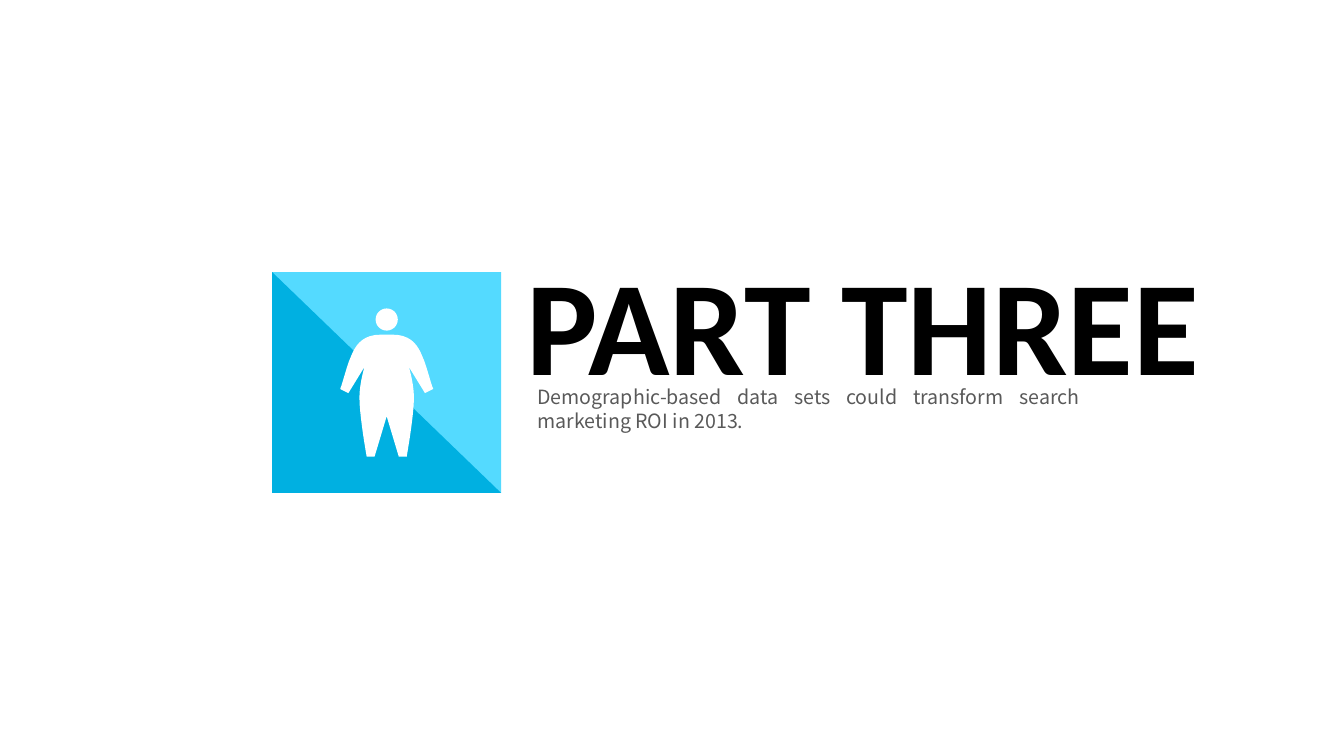
from pptx import Presentation
from pptx.dml.color import RGBColor
from pptx.enum.shapes import MSO_SHAPE as Shape
from pptx.enum.text import MSO_AUTO_SIZE as AutoSize, PP_ALIGN as Align
from pptx.util import Inches, Pt

WHITE = RGBColor(0xFF, 0xFF, 0xFF)
BLACK = RGBColor(0x00, 0x00, 0x00)
GREY = RGBColor(0x59, 0x59, 0x59)
LIGHT_BLUE = RGBColor(0x54, 0xDA, 0xFF)
DEEP_BLUE = RGBColor(0x00, 0xB0, 0xE1)

CURVE_STEPS = 10
HALF_BODY = [
    [(0.06, 0), (0.26, 0), (0.32, 0.13), (0.36, 0.23)],
    [(0.36, 0.23), (0.4, 0.32), (0.45, 0.53), (0.46, 0.53)],
    [(0.46, 0.54)],
    [(0.38, 0.58)],
    [(0.22, 0.32), (0.24, 0.39), (0.27, 0.51), (0.27, 0.63)],
    [(0.27, 0.63), (0.27, 0.81), (0.2, 1.2), (0.2, 1.2)],
    [(0.2, 1.21)],
    [(0.12, 1.21)],
    [(0, 0.81)],
]


def paint(shape, color):
    """Give a shape a flat fill with no line or shadow."""
    shape.fill.solid()
    shape.fill.fore_color.rgb = color
    shape.line.fill.background()
    shape.shadow.inherit = False


def add_block(slide, kind, box, color):
    """Add a flat preset shape in the given box."""
    shape = slide.shapes.add_shape(kind, *map(Inches, box))
    paint(shape, color)


def curve_points(controls):
    """Return points along a cubic curve, or a lone point unchanged."""
    if len(controls) == 1:
        return controls
    points = []
    for step in range(CURVE_STEPS + 1):
        t = step / CURVE_STEPS
        weights = ((1 - t) ** 3, 3 * t * (1 - t) ** 2, 3 * t * t * (1 - t), t ** 3)
        points.append(tuple(sum(weight * control[axis] for weight, control in zip(weights, controls))
                            for axis in (0, 1)))
    return points


def add_body(slide, center, top):
    """Draw the symmetric body from its half outline."""
    right = [point for controls in HALF_BODY for point in curve_points(controls)]
    left = [(-x, y) for x, y in reversed(right[:-1])]
    outline = [(Inches(center + x), Inches(top + y)) for x, y in right + left]
    builder = slide.shapes.build_freeform(*outline[0], scale=1.0)
    builder.add_line_segments(outline[1:], close=True)
    paint(builder.convert_to_shape(), WHITE)


def add_emblem(slide, left, top, width, height):
    """Draw the two-tone tile with the person in its middle."""
    tile = (left, top, width, height)
    add_block(slide, Shape.RECTANGLE, tile, LIGHT_BLUE)
    add_block(slide, Shape.RIGHT_TRIANGLE, tile, DEEP_BLUE)
    center, head = left + width / 2, 0.22
    add_block(slide, Shape.OVAL, (center - head / 2, top + 0.36, head, head), WHITE)
    add_body(slide, center, top + 0.62)


def add_text(slide, box, text, font_name, size, color, bold=False, align=Align.LEFT, wrap=True):
    """Add a text box holding one run."""
    text_box = slide.shapes.add_textbox(*map(Inches, box))
    frame = text_box.text_frame
    frame.word_wrap = wrap
    frame.auto_size = AutoSize.SHAPE_TO_FIT_TEXT
    paragraph = frame.paragraphs[0]
    paragraph.alignment = align
    run = paragraph.add_run()
    run.text = text
    run.font.name = font_name
    run.font.size = Pt(size)
    run.font.bold = bold
    run.font.color.rgb = color


def add_heading(slide, left, top):
    """Place the section title above its description."""
    add_text(slide, (left + 0.11, top + 1.43, 5.58, 0.57),
             "Demographic-based data sets could transform search marketing ROI in 2013.",
             "Noto Sans CJK SC", 14, GREY, align=Align.JUSTIFY)
    add_text(slide, (left, top, 6.95, 1.72), "PART THREE", "Calibri", 96, BLACK,
             bold=True, wrap=False)


def main():
    """Build the section slide and save it."""
    presentation = Presentation()
    presentation.slide_width = Inches(13.33)
    presentation.slide_height = Inches(7.5)
    slide = presentation.slides.add_slide(presentation.slide_layouts[6])
    add_heading(slide, 5.12, 2.34)
    add_emblem(slide, 2.7, 2.7, 2.27, 2.19)
    presentation.save("out.pptx")


if __name__ == "__main__":
    main()
